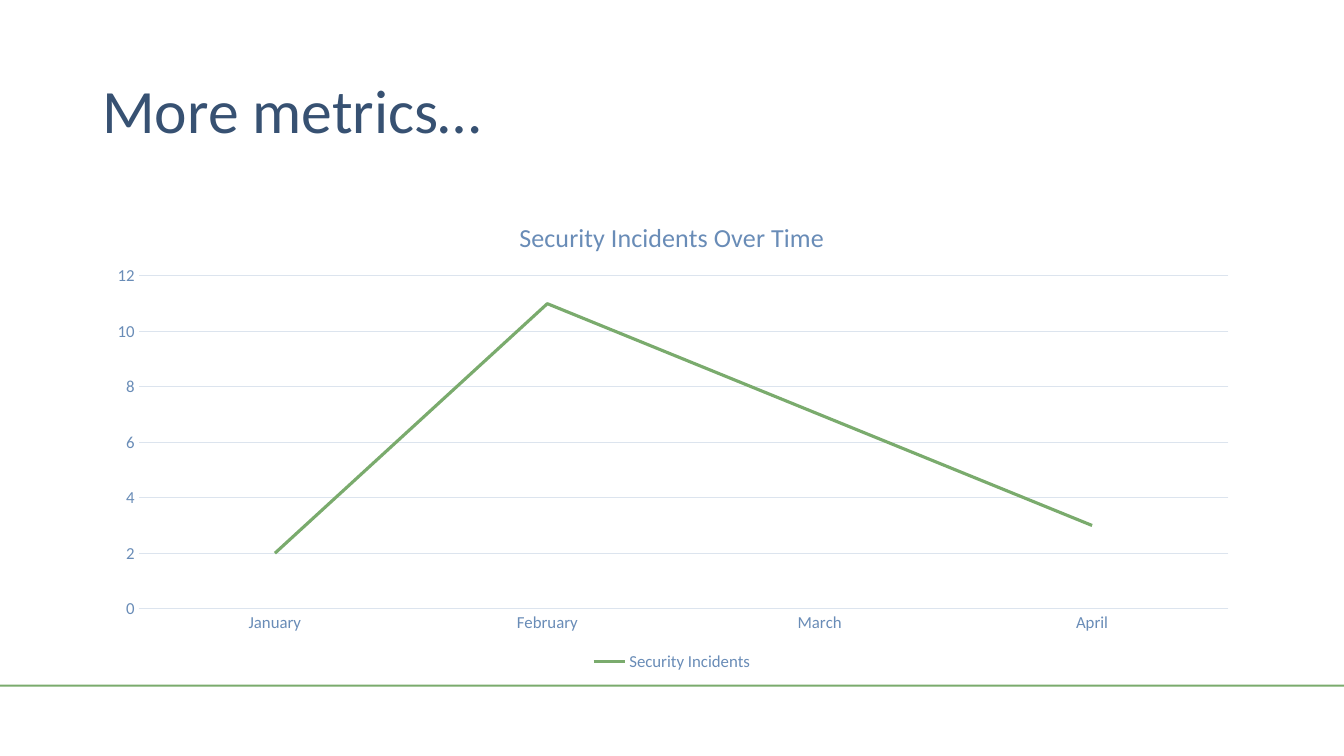
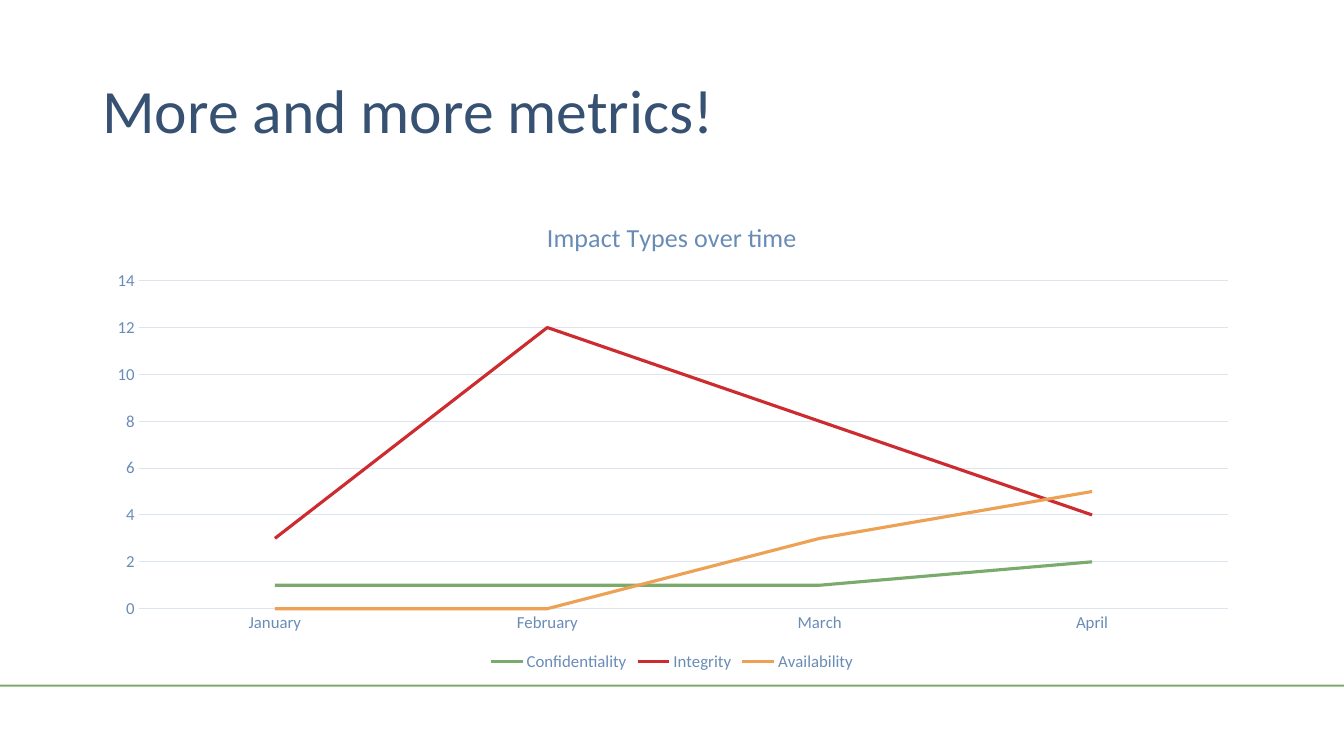
from dataclasses import dataclass

from pptx import Presentation
from pptx import oxml
from pptx import util as u
from pptx.chart import data as chart_data
from pptx.dml import color
from pptx.enum import chart as charts, shapes, text
from pptx.oxml import ns


@dataclass(frozen=True)
class Theme:
    """Colours, type and the 160 by 90 grid shared by all slides."""

    font: str = "Calibri"
    navy: str = "375172"
    blue: str = "698CB7"
    pale: str = "DCE4EE"
    white: str = "FFFFFF"
    series: tuple = ("7AAB6D", "CC2B30", "EDA154")
    title_size: float = 44
    chart_title_size: float = 18.6
    label_size: float = 12
    columns: int = 160
    rows: int = 90
    cell: int = u.Pt(6)


THEME = Theme()
TITLE_BOX = (11, 4.8, 138, 17.4)
CHART_BOX = (11, 23.8, 138, 56.6)
BAND_BOX = (-0.1, 81.5, 160.2, 0.24)
MONTHS = ("January", "February", "March", "April")
PLOT_LEFT, PLOT_WIDTH, PLOT_BOTTOM = 0.04, 0.94, 0.86
SLIDES = (
    {
        "title": "More metrics…",
        "chart_title": "Security Incidents Over Time",
        "series": {"Security Incidents": (2, 11, 7, 3)},
        "maximum": 12,
        "plot_top": 0.16,
    },
    {
        "title": "More and more metrics!",
        "chart_title": "Impact Types over time",
        "series": {
            "Confidentiality": (1, 1, 1, 2),
            "Integrity": (3, 12, 8, 4),
            "Availability": (0, 0, 3, 5),
        },
        "maximum": 14,
        "plot_top": 0.17,
    },
)


def rgb(value):
    """Turn a hex string into a colour."""
    return color.RGBColor.from_string(value)


def place(box):
    """Turn grid columns and rows into slide lengths."""
    return [u.Emu(round(length * THEME.cell)) for length in box]


def assign(target, values):
    """Set each attribute of the target from a dict."""
    for name, value in values.items():
        setattr(target, name, value)


def style_font(font, size, shade):
    """Give a font the theme face, a size and a colour."""
    assign(font, {"name": THEME.font, "size": u.Pt(size), "bold": False})
    font.color.rgb = rgb(shade)


def style_line(line, width, shade):
    """Give a line a width and a colour."""
    line.width = u.Pt(width)
    line.color.rgb = rgb(shade)


def add_band(slide, box):
    """Draw the thin footer band."""
    band = slide.shapes.add_shape(shapes.MSO_SHAPE.RECTANGLE, *place(box))
    band.shadow.inherit = False
    band.fill.solid()
    band.fill.fore_color.rgb = rgb(THEME.series[0])
    band.line.fill.background()


def add_title(slide, box, wording):
    """Write the slide title, centred vertically in its box."""
    frame = slide.shapes.add_textbox(*place(box)).text_frame
    assign(frame, {"word_wrap": True, "vertical_anchor": text.MSO_ANCHOR.MIDDLE})
    paragraph = frame.paragraphs[0]
    paragraph.line_spacing = 0.9
    run = paragraph.add_run()
    run.text = wording
    style_font(run.font, THEME.title_size, THEME.navy)


def set_plot_area(chart, top):
    """Fix the inner plot area as shares of the chart."""
    area = chart._chartSpace.chart.plotArea
    for layout in area.findall(ns.qn("c:layout")):
        area.remove(layout)
    settings = {
        "layoutTarget": "inner", "xMode": "edge", "yMode": "edge",
        "x": PLOT_LEFT, "y": top,
        "w": PLOT_WIDTH, "h": round(PLOT_BOTTOM - top, 2),
    }
    parts = "".join(f'<c:{key} val="{value}"/>' for key, value in settings.items())
    area.insert(0, oxml.parse_xml(
        f'<c:layout {ns.nsdecls("c")}><c:manualLayout>{parts}</c:manualLayout></c:layout>'
    ))


def style_axes(chart, maximum):
    """Style both axes and the horizontal gridlines."""
    for axis in (chart.category_axis, chart.value_axis):
        assign(axis, {
            "major_tick_mark": charts.XL_TICK_MARK.NONE,
            "minor_tick_mark": charts.XL_TICK_MARK.NONE,
        })
        style_font(axis.tick_labels.font, THEME.label_size, THEME.blue)
    style_line(chart.category_axis.format.line, 0.75, THEME.pale)
    values = chart.value_axis
    assign(values, {
        "minimum_scale": 0, "maximum_scale": maximum,
        "major_unit": 2, "has_major_gridlines": True,
    })
    values.format.line.fill.background()
    style_line(values.major_gridlines.format.line, 0.75, THEME.pale)


def add_line_chart(slide, box, content):
    """Add a line chart with its title and bottom legend."""
    data = chart_data.CategoryChartData()
    data.categories = MONTHS
    for name, values in content["series"].items():
        data.add_series(name, values)
    chart = slide.shapes.add_chart(
        charts.XL_CHART_TYPE.LINE, *place(box), data
    ).chart
    style_font(chart.font, 10, THEME.navy)
    assign(chart, {"has_title": True, "has_legend": True})
    frame = chart.chart_title.text_frame
    frame.text = content["chart_title"]
    style_font(frame.paragraphs[0].runs[0].font, THEME.chart_title_size, THEME.blue)
    assign(chart.legend, {
        "position": charts.XL_LEGEND_POSITION.BOTTOM,
        "include_in_layout": False,
    })
    style_font(chart.legend.font, THEME.label_size, THEME.blue)
    style_axes(chart, content["maximum"])
    chart.plots[0].vary_by_categories = False
    for series, shade in zip(chart.plots[0].series, THEME.series):
        series.smooth = False
        style_line(series.format.line, 2.25, shade)
    set_plot_area(chart, content["plot_top"])


def add_metric_slide(presentation, content):
    """Build one slide with a title, a line chart and the band."""
    slide = presentation.slides.add_slide(presentation.slide_layouts[6])
    slide.background.fill.solid()
    slide.background.fill.fore_color.rgb = rgb(THEME.white)
    add_band(slide, BAND_BOX)
    add_title(slide, TITLE_BOX, content["title"])
    add_line_chart(slide, CHART_BOX, content)


def main():
    """Build and save the presentation."""
    presentation = Presentation()
    assign(presentation, {
        "slide_width": THEME.columns * THEME.cell,
        "slide_height": THEME.rows * THEME.cell,
    })
    for content in SLIDES:
        add_metric_slide(presentation, content)
    presentation.save("out.pptx")


if __name__ == "__main__":
    main()
